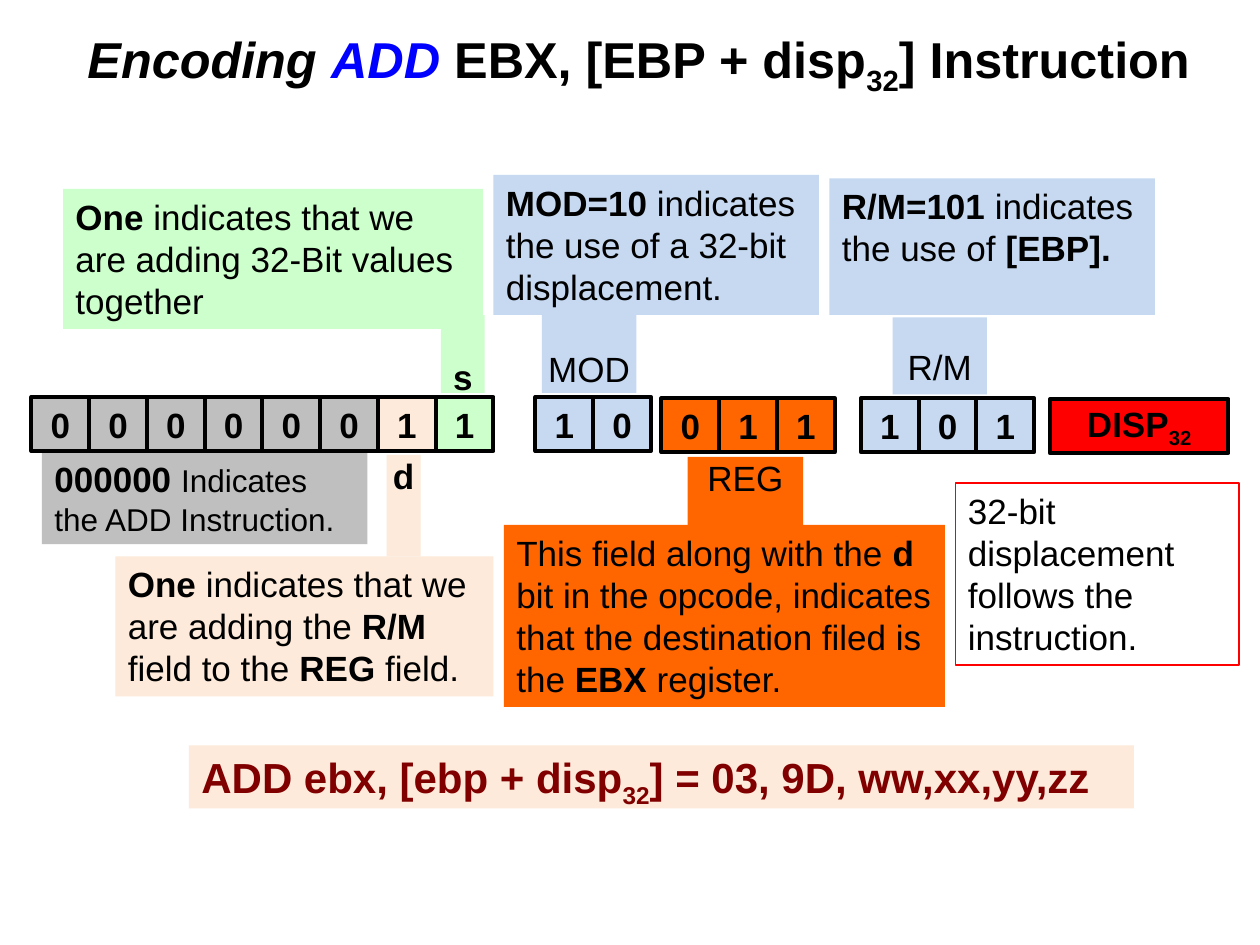
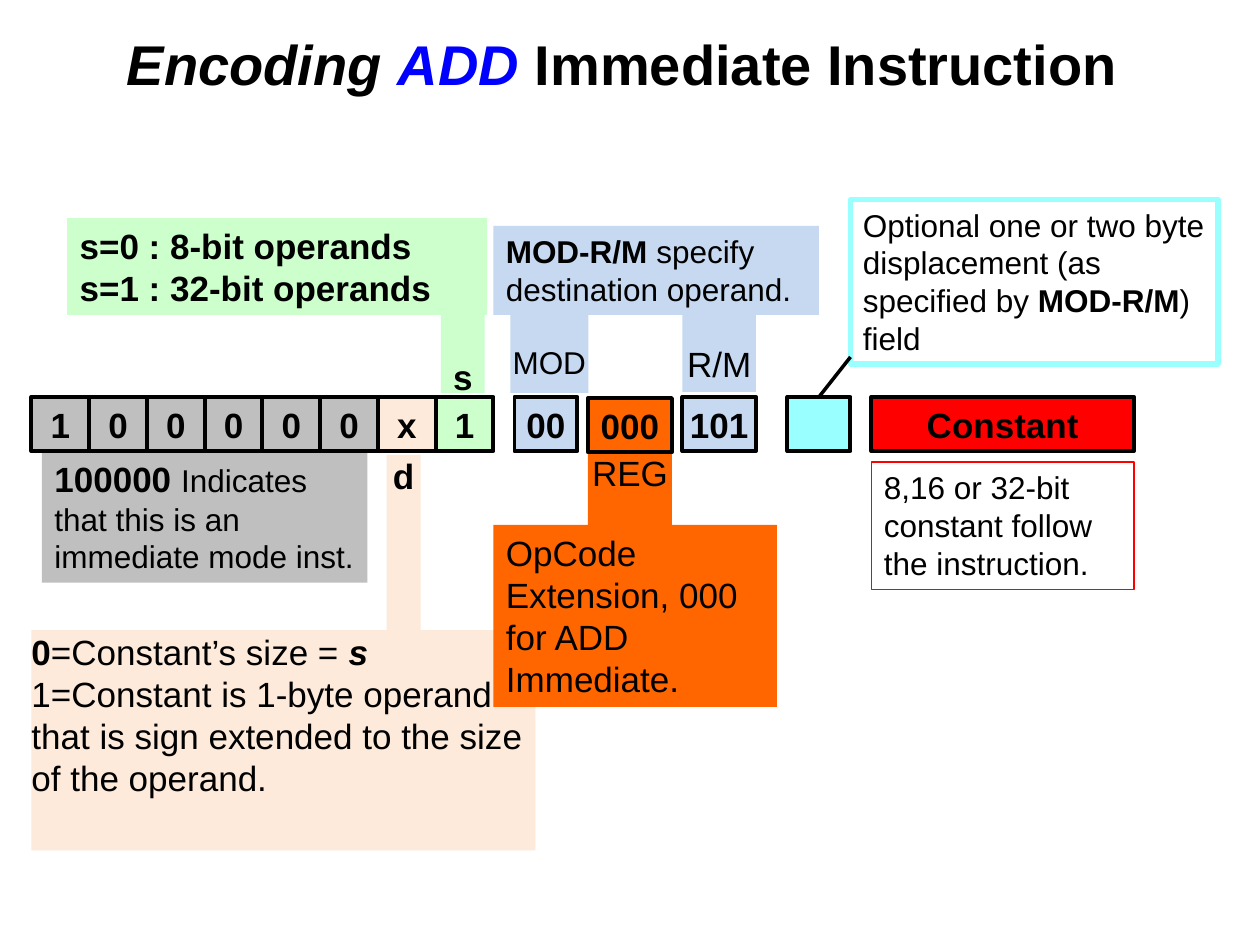
import pptx
import pptx.util
from lxml import etree
from pptx.dml.color import RGBColor
from pptx.enum.shapes import MSO_CONNECTOR, MSO_SHAPE
from pptx.enum.text import MSO_ANCHOR, PP_ALIGN
from pptx.oxml.ns import qn

Pt = pptx.util.Pt

FONT = "Arial"
BLACK, WHITE, BLUE, RED, MAROON = "000000", "FFFFFF", "0000FF", "FF0000", "800000"
GRAY, PEACH, GREEN = "BFBFBF", "FDEADA", "CCFFCC"
PALE_BLUE, ORANGE, CYAN = "C6D9F1", "FF6600", "99FFFF"

BIT_WIDTH, CELL_HEIGHT = 33, 31
CELL_TOP, REG_TOP = 226.8, 227.5
TAB_TOP, TAB_HEIGHT = 180, 44.6
OPCODE_FILLS = [GRAY] * 6 + [PEACH, GREEN]


def color(hex_string):
    return RGBColor.from_string(hex_string)


def bold(text):
    return text, {"bold": True}


def subscript(text):
    return text, {"subscript": True}


def write_runs(paragraph, pieces, **text_format):
    """Add runs; a piece is a string or a (string, format changes) pair."""
    for piece in [pieces] if isinstance(pieces, str) else pieces:
        text, changes = (piece, {}) if isinstance(piece, str) else piece
        run_format = {**text_format, **changes}
        run = paragraph.add_run()
        run.text = text
        run.font.name = FONT
        run.font.size = Pt(run_format.get("size", 20))
        run.font.bold = run_format.get("bold", False)
        run.font.italic = run_format.get("italic", False)
        run.font.color.rgb = color(run_format.get("ink", BLACK))
        if run_format.get("subscript"):
            run._r.get_or_add_rPr().set("baseline", "-25000")


def write_text(shape, paragraphs, align=PP_ALIGN.LEFT, anchor=MSO_ANCHOR.TOP,
               margins=(7.2, 3.6, 7.2, 3.6), wrap=True, **text_format):
    """Fill a shape with paragraphs; margins are left, top, right, bottom."""
    frame = shape.text_frame
    frame.word_wrap = wrap
    frame.vertical_anchor = anchor
    (frame.margin_left, frame.margin_top,
     frame.margin_right, frame.margin_bottom) = map(Pt, margins)
    for index, pieces in enumerate(paragraphs):
        paragraph = frame.add_paragraph() if index else frame.paragraphs[0]
        paragraph.alignment = align
        write_runs(paragraph, pieces, **text_format)


def add_box(shapes, left, top, width, height, fill=None, line=None, line_width=0.75):
    box = shapes.add_shape(MSO_SHAPE.RECTANGLE, Pt(left), Pt(top), Pt(width), Pt(height))
    box.shadow.inherit = False
    if fill:
        box.fill.solid()
        box.fill.fore_color.rgb = color(fill)
    else:
        box.fill.background()
    if line:
        box.line.color.rgb = color(line)
        box.line.width = Pt(line_width)
    else:
        box.line.fill.background()
    return box


def add_title(slide, left, width, pieces, size):
    title = slide.shapes.add_textbox(Pt(left), Pt(12), Pt(width), Pt(48))
    opening = [("Encoding ", {"italic": True}), ("ADD ", {"italic": True, "ink": BLUE})]
    write_text(title, [opening + pieces], align=PP_ALIGN.CENTER,
               anchor=MSO_ANCHOR.MIDDLE, size=size, bold=True)


def add_note(slide, left, top, width, height, paragraphs, fill=None,
             line=None, line_width=0.75, **text_format):
    note = add_box(slide.shapes, left, top, width, height, fill, line, line_width)
    write_text(note, paragraphs, **text_format)


def add_cell(shapes, left, top, width, fill, pieces=""):
    """Draw one outlined field of the instruction."""
    cell = add_box(shapes, left, top, width, CELL_HEIGHT, fill, BLACK, 2.25)
    if pieces:
        write_text(cell, [pieces], align=PP_ALIGN.CENTER, anchor=MSO_ANCHOR.MIDDLE,
                   margins=(0, 0, 0, 0), bold=True)


def add_bits(slide, left, top, bits, fills):
    """Draw a grouped row of one-bit cells."""
    group = slide.shapes.add_group_shape()
    for index, (bit, fill) in enumerate(zip(bits, fills)):
        add_cell(group.shapes, left + index * BIT_WIDTH, top, BIT_WIDTH, fill, bit)


def add_tab(slide, left, top, width, label, fill, height=TAB_HEIGHT, drop=0, **text_format):
    """Draw the label that joins a field to its note; drop lowers the text."""
    tab = add_box(slide.shapes, left, top, width, height, fill)
    write_text(tab, [label], align=PP_ALIGN.CENTER, margins=(0, drop, 0, 0),
               wrap=False, **text_format)


def add_opcode(slide, bits, meaning, note_height, d_tab_height):
    """Draw the opcode byte with its meaning and the d and s labels."""
    add_note(slide, 24, 258, 186, note_height,
             [[bold(bits[:6] + " "), (meaning, {"size": 18})]], GRAY)
    add_bits(slide, 18, CELL_TOP, bits, OPCODE_FILLS)
    add_tab(slide, 221, 260, 19.4, "d", PEACH, d_tab_height, bold=True)
    add_tab(slide, 252, TAB_TOP, 25, "s", GREEN, drop=23, bold=True)


def add_line(slide, start, end):
    line = slide.shapes.add_connector(MSO_CONNECTOR.STRAIGHT, *map(Pt, start + end))
    line.line.color.rgb = color(BLACK)
    line.line.width = Pt(2)
    etree.SubElement(line._element.spPr, qn("a:effectLst"))


def add_slide(presentation):
    slide = presentation.slides.add_slide(presentation.slide_layouts[6])
    slide.background.fill.solid()
    slide.background.fill.fore_color.rgb = color(WHITE)
    return slide


def build_displacement_slide(presentation):
    slide = add_slide(presentation)
    add_title(slide, 36, 666,
              ["EBX, [EBP + disp", subscript("32"), "] Instruction "], 28.8)

    add_opcode(slide, "00000011", "Indicates the ADD Instruction.", 53, 58)
    add_note(slide, 66, 318, 216, 80,
             [[bold("One "), "indicates that we are adding the ", bold("R/M"),
               " field to the ", bold("REG "), "field."]], PEACH)
    add_note(slide, 36, 108, 240, 80,
             [[bold("One "), "indicates that we are adding 32-Bit values together"]], GREEN)

    add_note(slide, 282, 100, 186, 80,
             [[bold("MOD=10 "), "indicates the use of a 32-bit displacement."]], PALE_BLUE)
    add_bits(slide, 306, CELL_TOP, "10", [PALE_BLUE] * 2)
    add_tab(slide, 309.6, TAB_TOP, 54, "MOD", PALE_BLUE, drop=18.4)

    add_note(slide, 288, 300, 252, 104,
             [["This field along with the ", bold("d "),
               "bit in the opcode, indicates that the destination filed is the",
               bold(" EBX "), "register."]], ORANGE)
    add_bits(slide, 378, REG_TOP, "011", [ORANGE] * 3)
    add_tab(slide, 393, 261, 66, "REG", ORANGE)

    add_note(slide, 474, 102, 186, 78,
             [[bold("R/M=101 "), "indicates the use of ", bold("[EBP].")]], PALE_BLUE)
    add_bits(slide, 492, REG_TOP, "101", [PALE_BLUE] * 3)
    add_tab(slide, 510, 181.4, 54, "R/M", PALE_BLUE, 44, drop=16)

    add_cell(slide.shapes, 600, 228, 102, RED, ["DISP", subscript("32")])
    add_note(slide, 546, 276, 162, 104,
             ["32-bit displacement follows the instruction."], line=RED)
    add_note(slide, 108, 426, 540, 36,
             [["ADD ebx, [ebp + disp", subscript("32"), "] = 03, 9D, ww,xx,yy,zz"]],
             PEACH, size=24, bold=True, ink=MAROON)


def build_immediate_slide(presentation):
    slide = add_slide(presentation)
    add_title(slide, 18, 684, ["Immediate Instruction "], 32)

    add_note(slide, 18, 360, 288, 126,
             [[bold("0"), "=Constant’s size =", (" s", {"bold": True, "italic": True})],
              "1=Constant is 1-byte operand that is sign extended to the size of the operand."],
             PEACH, margins=(0, 0, 0, 0))
    add_opcode(slide, "100000x1", "Indicates that this is an immediate mode inst.", 75, 100)
    add_note(slide, 38.4, 124.6, 240, 55.4,
             ["s=0 : 8-bit operands", "s=1 : 32-bit operands"], GREEN, bold=True)

    add_note(slide, 282, 129, 186, 51,
             [[bold("MOD-R/M"), " specify destination operand."]], PALE_BLUE, size=18)
    add_tab(slide, 291.6, TAB_TOP, 44.6, "MOD", PALE_BLUE, drop=16, size=18)
    add_cell(slide.shapes, 294, CELL_TOP, 36, PALE_BLUE, "00")
    add_tab(slide, 390, TAB_TOP, 42, "R/M", PALE_BLUE, 44, drop=16)
    add_cell(slide.shapes, 390, CELL_TOP, 42, PALE_BLUE, "101")

    add_note(slide, 282, 300, 162, 104,
             ["OpCode Extension, 000 for ADD Immediate."], ORANGE)
    add_tab(slide, 336, 258, 48, "REG", ORANGE)
    add_cell(slide.shapes, 336, REG_TOP, 48, ORANGE, "000")

    add_cell(slide.shapes, 450, CELL_TOP, 36, CYAN)
    add_note(slide, 486, 114, 210, 94,
             [["Optional one or two byte displacement (as specified by ",
               bold("MOD-R/M"), ") field"]], line=CYAN, line_width=3, size=18)
    add_line(slide, (486, 204), (468, CELL_TOP))

    add_cell(slide.shapes, 498, CELL_TOP, 150, RED, "Constant")
    add_note(slide, 498, 264, 150, 73,
             ["8,16 or 32-bit constant follow the instruction."], line=RED, size=18)


def main():
    presentation = pptx.Presentation()
    presentation.slide_width, presentation.slide_height = Pt(720), Pt(540)
    build_displacement_slide(presentation)
    build_immediate_slide(presentation)
    presentation.save("out.pptx")


if __name__ == "__main__":
    main()
